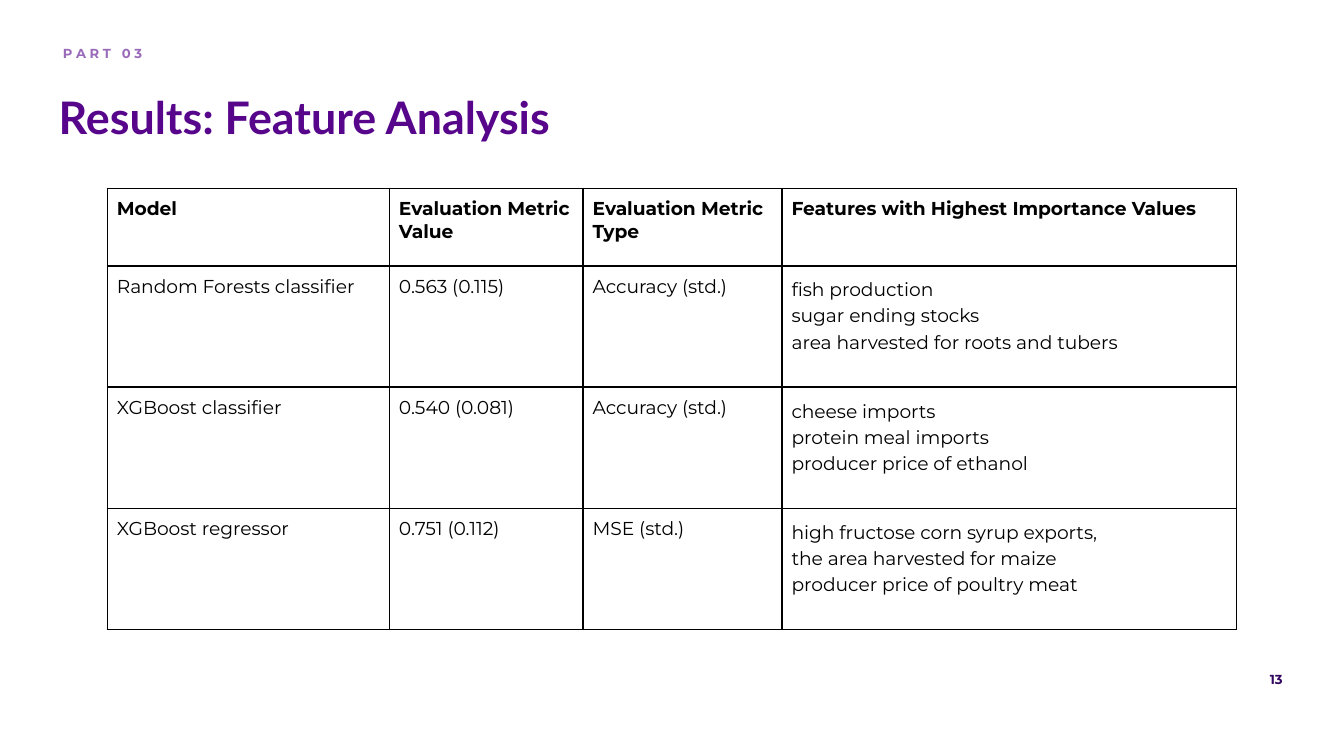
from lxml import etree
from pptx import Presentation
from pptx.dml.color import RGBColor
from pptx.enum import text
from pptx.oxml import ns
from pptx.util import Cm, Pt

BLACK = RGBColor(0x00, 0x00, 0x00)
VIOLET = RGBColor(0x57, 0x06, 0x8C)
LILAC = RGBColor(0x9A, 0x6A, 0xBA)
DARK_VIOLET = RGBColor(0x33, 0x06, 0x62)

BOX_INSET = Cm(0.25)
CELL_INSET = Cm(0.18)

COLUMN_WIDTHS = [Cm(5.33), Cm(3.66), Cm(3.76), Cm(8.59)]
HEADER_HEIGHT = Cm(1.47)
MODEL_HEIGHT = Cm(2.29)

RESULTS = [
    ["Model", "Evaluation Metric Value", "Evaluation Metric Type",
     "Features with Highest Importance Values"],
    ["Random Forests classifier", "0.563 (0.115)", "Accuracy (std.)",
     "fish production\nsugar ending stocks\narea harvested for roots and tubers"],
    ["XGBoost classifier", "0.540 (0.081)", "Accuracy (std.)",
     "cheese imports\nprotein meal imports\nproducer price of ethanol"],
    ["XGBoost regressor", "0.751 (0.112)", "MSE (std.)",
     "high fructose corn syrup exports,\nthe area harvested for maize\n"
     "producer price of poultry meat"],
]


def set_insets(target, inset):
    target.margin_left = target.margin_right = inset
    target.margin_top = target.margin_bottom = inset


def format_runs(paragraph, font_name, size, color, bold):
    for run in paragraph.runs:
        run.font.name = font_name
        run.font.size = Pt(size)
        run.font.bold = bold
        run.font.color.rgb = color


def add_text(slide, words, left, top, width, height, color, size=7,
             font_name="Montserrat", align=text.PP_ALIGN.LEFT,
             anchor=text.MSO_ANCHOR.TOP):
    shape = slide.shapes.add_textbox(Cm(left), Cm(top), Cm(width), Cm(height))
    frame = shape.text_frame
    frame.word_wrap = True
    frame.vertical_anchor = anchor
    set_insets(frame, BOX_INSET)
    frame.text = words
    paragraph = frame.paragraphs[0]
    paragraph.alignment = align
    format_runs(paragraph, font_name, size, color, True)


def set_borders(cell, color, width):
    properties = cell._tc.get_or_add_tcPr()
    # Border lines come before the fill in the cell properties.
    for index, side in enumerate(("a:lnL", "a:lnR", "a:lnT", "a:lnB")):
        line = etree.Element(ns.qn(side), w=str(width))
        fill = etree.SubElement(line, ns.qn("a:solidFill"))
        etree.SubElement(fill, ns.qn("a:srgbClr"), val=str(color))
        properties.insert(index, line)


def fill_cell(cell, words, is_header):
    cell.fill.background()
    set_insets(cell, CELL_INSET)
    set_borders(cell, BLACK, Pt(1))
    cell.text_frame.text = words
    paragraphs = cell.text_frame.paragraphs
    for paragraph in paragraphs:
        if len(paragraphs) > 1:
            paragraph.line_spacing = 1.15
        format_runs(paragraph, "Montserrat", 10, BLACK, is_header)


def add_results_table(slide):
    heights = [HEADER_HEIGHT] + [MODEL_HEIGHT] * (len(RESULTS) - 1)
    table = slide.shapes.add_table(
        len(RESULTS), len(COLUMN_WIDTHS), Cm(2.03), Cm(3.56),
        sum(COLUMN_WIDTHS), sum(heights)).table
    table.horz_banding = False
    for column, width in zip(table.columns, COLUMN_WIDTHS):
        column.width = width
    for row_index, (row, height) in enumerate(zip(table.rows, heights)):
        row.height = height
        for cell, words in zip(row.cells, RESULTS[row_index]):
            fill_cell(cell, words, row_index == 0)


def main():
    presentation = Presentation()
    presentation.slide_width = Cm(25.4)
    presentation.slide_height = Cm(14.29)
    slide = presentation.slides.add_slide(presentation.slide_layouts[6])

    add_text(slide, "13", 12.83, 12.55, 11.66, 0.86, DARK_VIOLET,
             align=text.PP_ALIGN.RIGHT)
    add_text(slide, "Results: Feature Analysis", 0.86, 1.55, 12.62, 1.42,
             VIOLET, size=24, font_name="Lato", anchor=text.MSO_ANCHOR.BOTTOM)
    add_text(slide, " ".join("PART 03"), 0.94, 0.71, 6.76, 0.86, LILAC)
    add_results_table(slide)

    presentation.save("out.pptx")


if __name__ == "__main__":
    main()
